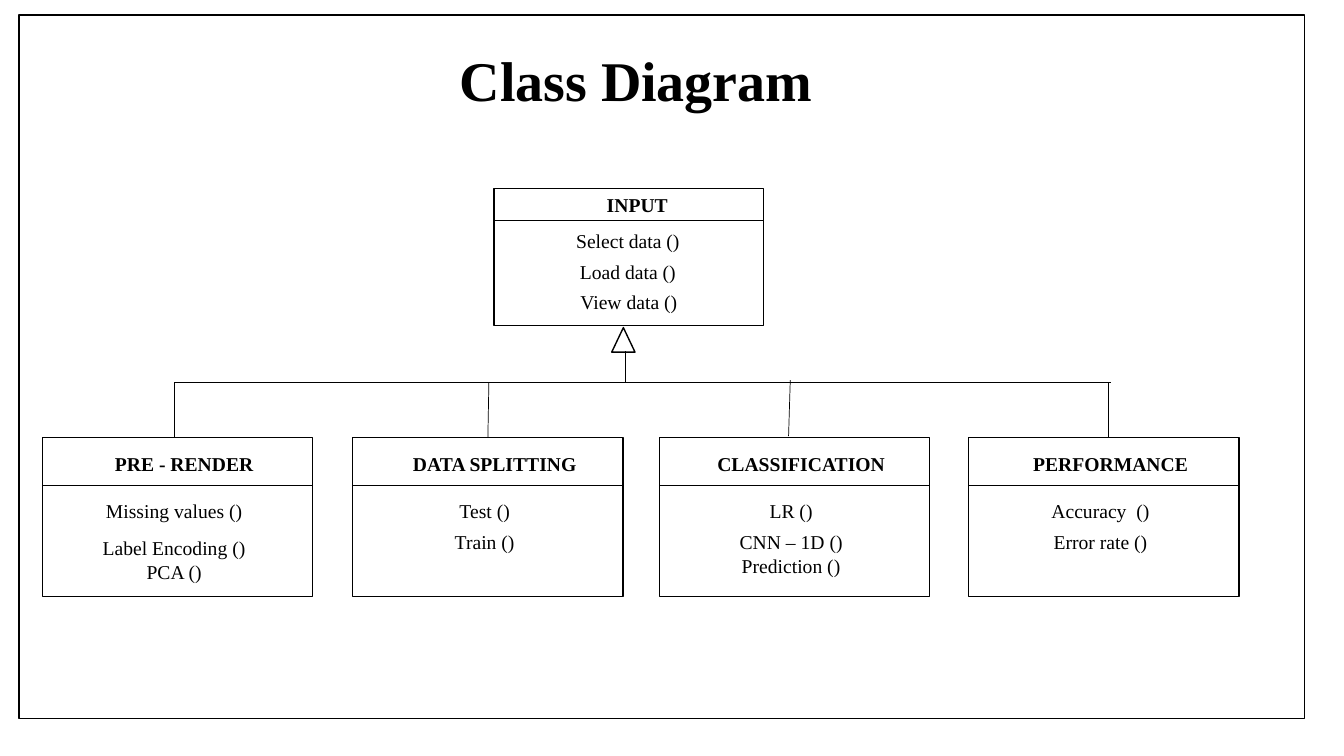
import pptx
import pptx.util
import pptx.dml.color
import pptx.enum.shapes
import pptx.enum.text
import pptx.oxml.ns
import lxml.etree

Pt = pptx.util.Pt
SHAPE = pptx.enum.shapes.MSO_SHAPE
COLORS = {"ink": "000000", "paper": "FFFFFF"}
INK = pptx.dml.color.RGBColor.from_string(COLORS["ink"])
PAPER = pptx.dml.color.RGBColor.from_string(COLORS["paper"])

prs = pptx.Presentation()
prs.slide_width, prs.slide_height = Pt(960), Pt(540)
slide = prs.slides.add_slide(prs.slide_layouts[5])


def outline(kind, x, y, w, h):
    sp = slide.shapes.add_shape(kind, Pt(x), Pt(y), Pt(w), Pt(h))
    sp.shadow.inherit = False
    sp.fill.solid()
    sp.fill.fore_color.rgb = PAPER
    sp.line.color.rgb = INK
    sp.line.width = Pt(1)
    return sp


def rule(x1, y1, x2, y2):
    line = slide.shapes.add_connector(
        pptx.enum.shapes.MSO_CONNECTOR.STRAIGHT, Pt(x1), Pt(y1), Pt(x2), Pt(y2))
    line.line.color.rgb = INK
    line.line.width = Pt(0.5)
    lxml.etree.SubElement(line._element.spPr, pptx.oxml.ns.qn("a:effectLst"))
    return line


# Title
title = slide.shapes.title
title.left, title.top, title.width, title.height = Pt(56.9), Pt(28.8), Pt(794.9), Pt(55.4)
title.text_frame.text = "Class Diagram"
title.text_frame.vertical_anchor = pptx.enum.text.MSO_ANCHOR.TOP
p = title.text_frame.paragraphs[0]
p.alignment = pptx.enum.text.PP_ALIGN.CENTER
p.font.name, p.font.size, p.font.bold = "Times New Roman", Pt(40), True
p.font.color.rgb = INK

# Slide frame
frame = outline(SHAPE.RECTANGLE, 13.7, 10.8, 918, 502.6)
frame.fill.background()

# Class boxes: left, top, width, height, divider, labels (x, y, width, lines)
classes = [
    (352.8, 134.6, 192.6, 97.9, 157.7, [
        (371, 134.6, 168.5, ["INPUT"]),
        (364.3, 159.8, 168.5, ["Select data ()"]),
        (364.3, 182, 168.5, ["Load data ()"]),
        (365, 203.8, 168.5, ["View data ()"])]),
]
subclasses = [
    (30.2, "PRE - RENDER", "Missing values ()", 379.4, ["Label Encoding ()", "PCA ()"]),
    (252, "DATA SPLITTING", "Test ()", 375.1, ["Train ()"]),
    (470.9, "CLASSIFICATION", "LR ()", 375.1, ["CNN – 1D ()", "Prediction ()"]),
    (691.9, "PERFORMANCE", "Accuracy  ()", 375.1, ["Error rate ()"]),
]
for x, name, first, rest_y, rest in subclasses:
    classes.append((x, 312.5, 193, 113.8, 346.5, [
        (x + 9.6, 319, 183.6, [name]),
        (x + 9.6, 352.8, 169.2, [first]),
        (x + 9.6, rest_y, 169.2, rest)]))

boxes = []
for x, y, w, h, divider_y, labels in classes:
    boxes.append(outline(SHAPE.RECTANGLE, x, y, w, h))
    rule(x, divider_y, x + w, divider_y)
    for i, (label_x, label_y, label_w, lines) in enumerate(labels):
        label = slide.shapes.add_textbox(
            Pt(label_x), Pt(label_y), Pt(label_w), Pt(7.2 + 17 * len(lines)))
        tf = label.text_frame
        tf.word_wrap = True
        tf.text = "\n".join(lines)
        for p in tf.paragraphs:
            p.alignment = pptx.enum.text.PP_ALIGN.CENTER
            p.font.name, p.font.size, p.font.bold = "Times New Roman", Pt(14), i == 0
            p.font.color.rgb = INK

# Inheritance tree: bar, drops to the subclasses, trunk and arrowhead
bar_y = 273
rule(124.8, bar_y, 793.4, bar_y)
rule(124.8, bar_y, 124.8, 312.5)
splitting_drop = rule(349.2, bar_y, 348.5, 312.5)
splitting_drop.end_connect(boxes[2], 0)
rule(564.5, 271.5, 563.3, 311.5)
rule(792, bar_y, 792, 312.5)
outline(SHAPE.ISOSCELES_TRIANGLE, 437, 234, 16.6, 17.5)
rule(446.4, 250.8, 446.4, bar_y)

prs.save("out.pptx")
